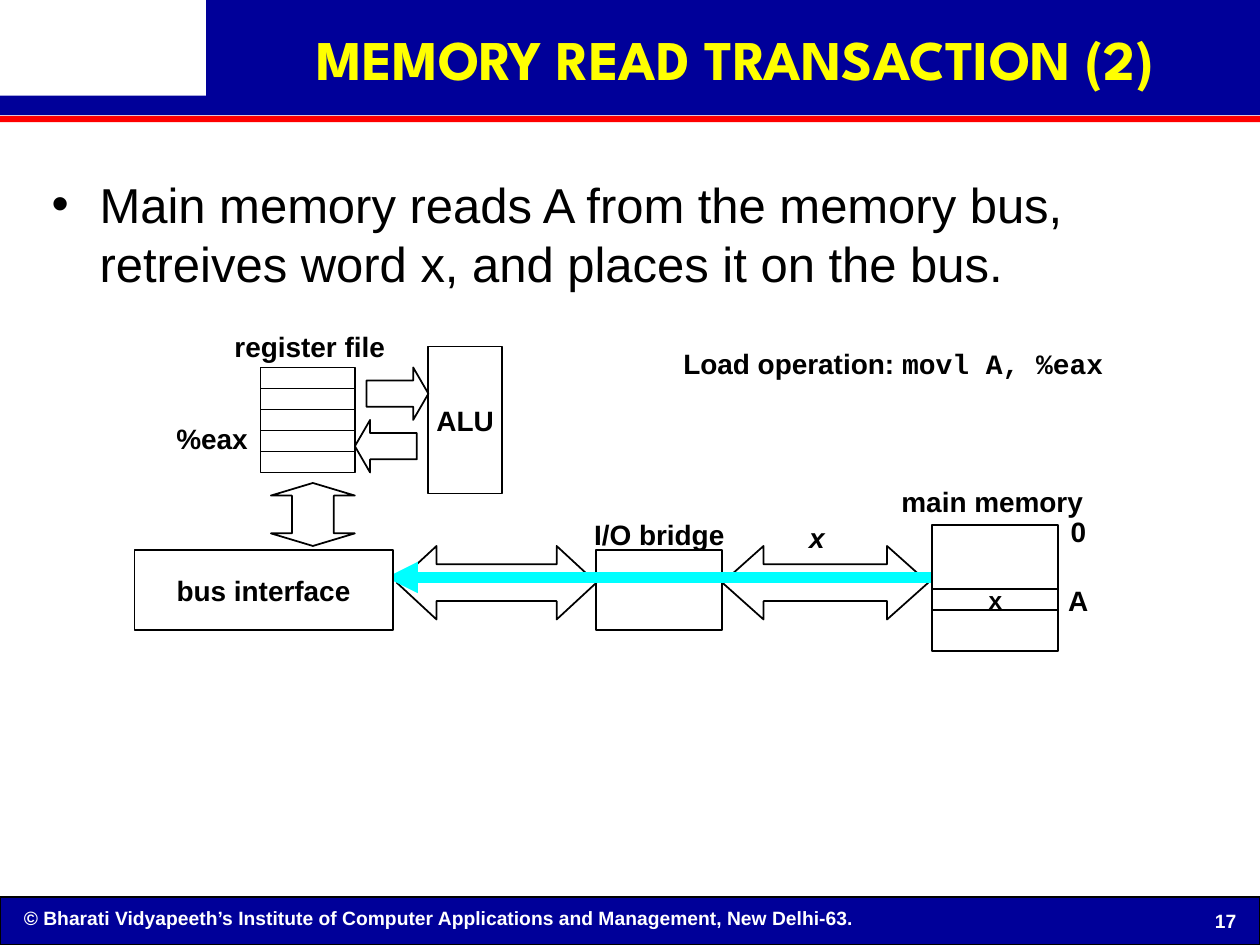
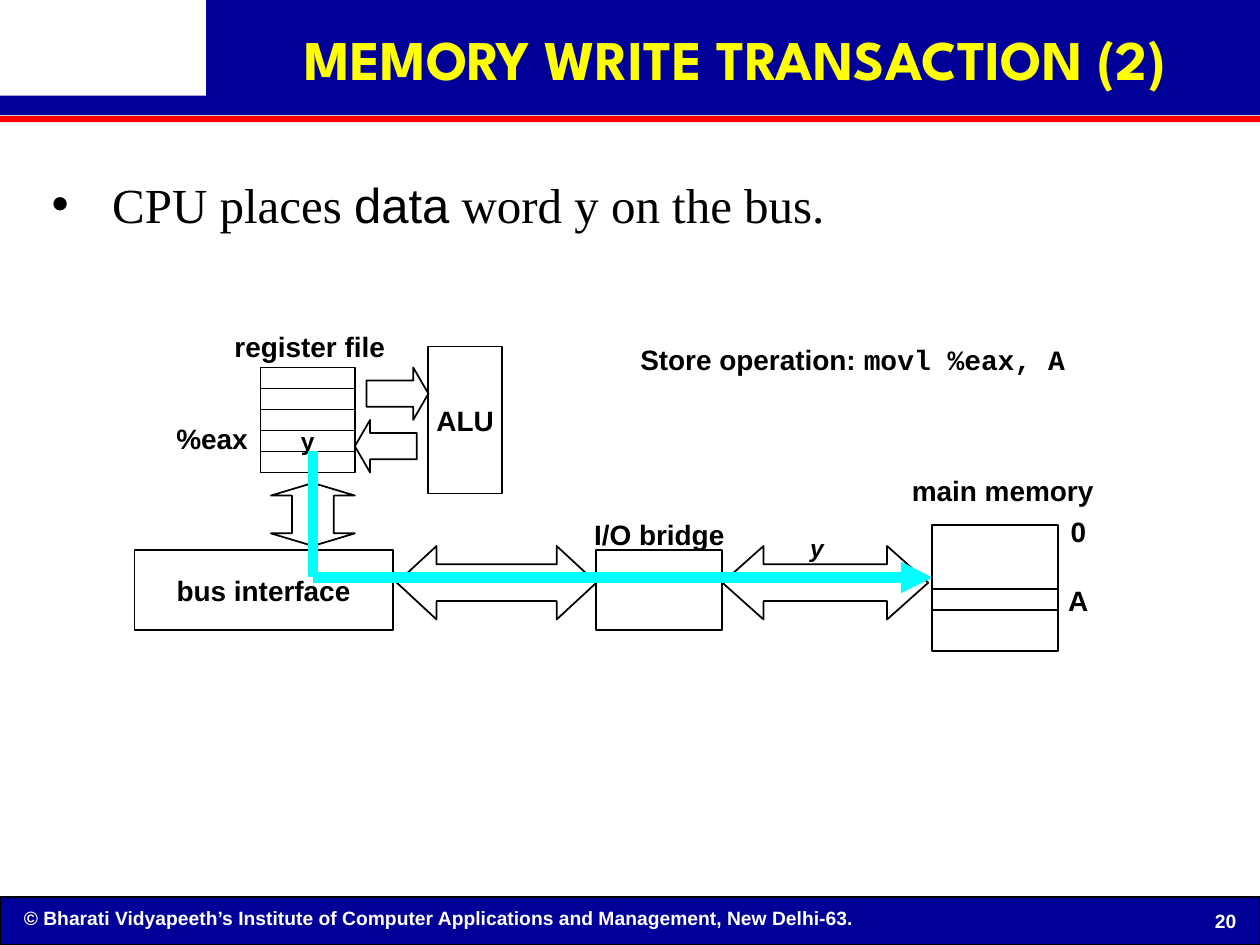
from dataclasses import dataclass

from lxml import etree
from pptx import Presentation
from pptx.dml.color import RGBColor
from pptx.enum.shapes import MSO_CONNECTOR, MSO_SHAPE
from pptx.enum.text import MSO_ANCHOR, PP_ALIGN
from pptx.oxml.ns import qn
from pptx.util import Inches, Pt

RECTANGLE = MSO_SHAPE.RECTANGLE
RIGHT_ARROW = MSO_SHAPE.RIGHT_ARROW
LEFT_ARROW = MSO_SHAPE.LEFT_ARROW
LEFT_RIGHT_ARROW = MSO_SHAPE.LEFT_RIGHT_ARROW
UP_DOWN_ARROW = MSO_SHAPE.UP_DOWN_ARROW
STRAIGHT = MSO_CONNECTOR.STRAIGHT
LEFT, CENTER = PP_ALIGN.LEFT, PP_ALIGN.CENTER
TOP, MIDDLE = MSO_ANCHOR.TOP, MSO_ANCHOR.MIDDLE

# The slide is a grid of 120 columns and 90 rows.
SLIDE_WIDTH, SLIDE_HEIGHT = Inches(10), Inches(7.5)
COLUMNS, ROWS = 120, 90
CELL = SLIDE_WIDTH // COLUMNS
DIAGRAM_LEFT, DIAGRAM_TOP = 12.8, 33
BUS_ROW = 22
REGISTER_COUNT, EAX_REGISTER = 5, 3


@dataclass(frozen=True)
class Theme:
    band: str = "000099"
    rule: str = "FF0000"
    title: str = "FFFF00"
    ink: str = "000000"
    paper: str = "FFFFFF"
    signal: str = "00FFFF"
    sans: str = "Arial"
    serif: str = "Times New Roman"
    code: str = "Courier New"
    display: str = "League Spartan"
    title_size: int = 32
    body_size: int = 28
    label_size: int = 16
    word_size: int = 14
    footer_size: int = 11


THEME = Theme()


def grid(*cells):
    return [round(cell * CELL) for cell in cells]


def on_diagram(left, top):
    return DIAGRAM_LEFT + left, DIAGRAM_TOP + top


def write(shape, content, *, font=THEME.sans, size=THEME.label_size, color=THEME.ink,
          bold=True, italic=False, align=CENTER, anchor=MIDDLE, wrap=False):
    """Fill a shape with one paragraph; content is a string or (text, font) pairs."""
    frame = shape.text_frame
    frame.word_wrap = wrap
    frame.vertical_anchor = anchor
    paragraph = frame.paragraphs[0]
    paragraph.alignment = align
    runs = [(content, font)] if isinstance(content, str) else content
    for text, run_font in runs:
        run = paragraph.add_run()
        run.text = text
        run.font.name = run_font
        run.font.size = Pt(size)
        run.font.bold = bold
        run.font.italic = italic
        run.font.color.rgb = RGBColor.from_string(color)
    return paragraph


def add_text(slide, cells, content, **text_format):
    return write(slide.shapes.add_textbox(*grid(*cells)), content, **text_format)


def add_shape(slide, kind, cells, *, fill=None, line=None, line_width=1):
    shape = slide.shapes.add_shape(kind, *grid(*cells))
    shape.shadow.inherit = False
    if fill:
        shape.fill.solid()
        shape.fill.fore_color.rgb = RGBColor.from_string(fill)
    else:
        shape.fill.background()
    if line:
        shape.line.color.rgb = RGBColor.from_string(line)
        shape.line.width = Pt(line_width)
    else:
        shape.line.fill.background()
    return shape


def add_part(slide, left, top, width, height, *, kind=RECTANGLE, fill=None):
    """Add an outlined part of the diagram."""
    cells = (*on_diagram(left, top), width, height)
    return add_shape(slide, kind, cells, fill=fill, line=THEME.ink)


def add_arrow(slide, kind, left, top, width, height, head):
    """Add a block arrow; its last adjustment is the length of the head."""
    arrow = add_part(slide, left, top, width, height, kind=kind)
    arrow.adjustments[len(arrow.adjustments) - 1] = head


def add_label(slide, center, middle, text, **text_format):
    width, height = 24, 4.4
    left, top = on_diagram(center - width / 2, middle - height / 2)
    add_text(slide, (left, top, width, height), text, **text_format)


def add_signal(slide, *points):
    """Draw a thick line through the points, with an arrowhead at the last one."""
    for start, end in zip(points, points[1:]):
        ends = grid(*on_diagram(*start), *on_diagram(*end))
        connector = slide.shapes.add_connector(STRAIGHT, *ends)
        connector.line.color.rgb = RGBColor.from_string(THEME.signal)
        connector.line.width = Pt(6)
        properties = connector._element.spPr
        etree.SubElement(properties, qn("a:effectLst"))
    arrowhead = etree.SubElement(properties.find(qn("a:ln")), qn("a:tailEnd"))
    arrowhead.set("type", "triangle")


def add_bullet(slide, content, indent):
    paragraph = add_text(slide, (3.75, 16, 109, 68), content, size=THEME.body_size,
                         bold=False, align=LEFT, anchor=TOP, wrap=True)
    properties = paragraph._p.get_or_add_pPr()
    properties.set("marL", str(Inches(indent)))
    properties.set("indent", str(-Inches(indent)))
    etree.SubElement(properties, qn("a:buFont")).set("typeface", THEME.sans)
    etree.SubElement(properties, qn("a:buChar")).set("char", "•")


def add_page(presentation, title, number):
    """Add a slide with the shared bands, title and footer."""
    slide = presentation.slides.add_slide(presentation.slide_layouts[6])
    footer_top = 85.44
    add_shape(slide, RECTANGLE, (0, footer_top, COLUMNS, ROWS - footer_top),
              fill=THEME.band, line=THEME.ink, line_width=0.75)
    footer = dict(size=THEME.footer_size, color=THEME.paper)
    add_text(slide, (1.08, 85.68, 110, 3.5),
             "© Bharati Vidyapeeth’s Institute of Computer Applications and Management, "
             "New Delhi-63.", align=LEFT, anchor=TOP, **footer)
    add_text(slide, (113.6, 86.28, 6.24, 2.88), str(number), **footer)
    for cells, color in (((0, 11.04, COLUMNS, 0.6), THEME.rule),
                         ((19.64, 0, COLUMNS - 19.64, 10), THEME.band),
                         ((0, 9.12, COLUMNS, 1.85), THEME.band)):
        add_shape(slide, RECTANGLE, cells, fill=color)
    add_text(slide, (20.28, 0.12, 99.6, 10.8), title, font=THEME.display,
             size=THEME.title_size, color=THEME.title, wrap=True)
    return slide


def add_processor(slide, register_word):
    for index in range(REGISTER_COUNT):
        register = add_part(slide, 12, 2 + 2 * index, 9, 2)
        if index == EAX_REGISTER and register_word:
            write(register, register_word, size=THEME.word_size)
    add_arrow(slide, RIGHT_ARROW, 22.1, 2, 5.9, 5, 0.29)
    add_arrow(slide, LEFT_ARROW, 21, 7, 5.9, 5, 0.29)
    write(add_part(slide, 28, 0, 7, 14), "ALU")
    add_arrow(slide, UP_DOWN_ARROW, 13, 13, 8, 6, 0.2)
    write(add_part(slide, 0, 19.4, 24.6, 7.6, fill=THEME.paper), "bus interface")
    add_label(slide, 16.7, 0, "register file")
    add_label(slide, 7.4, 8.7, "%eax")


def add_buses(slide):
    add_arrow(slide, LEFT_RIGHT_ARROW, 25, 19, 19, 7, 0.54)
    add_part(slide, 44, 19.4, 12, 7.6)
    add_arrow(slide, LEFT_RIGHT_ARROW, 56, 19, 19.6, 7, 0.56)
    add_label(slide, 50, 17.9, "I/O bridge")


def add_memory(slide, memory_word, label_center, label_middle):
    add_part(slide, 76, 17, 12, 12)
    word_row = add_part(slide, 76, 23.1, 12, 2)
    if memory_word:
        write(word_row, memory_word, size=THEME.word_size)
    add_label(slide, label_center, label_middle, "main memory")
    add_label(slide, 89.9, 17.6, "0")
    add_label(slide, 89.9, 24.2, "A")


def add_operation(slide, left, top, name, instruction):
    cells = (*on_diagram(left, top), 46, 4.4)
    add_text(slide, cells, [(name + " operation: ", THEME.sans), (instruction, THEME.code)],
             align=LEFT, anchor=TOP, wrap=True)


def add_read_slide(presentation):
    slide = add_page(presentation, "MEMORY READ TRANSACTION (2)", 17)
    add_bullet(slide, "Main memory reads A from the memory bus, retreives word x, "
                      "and places it on the bus.", 0.38)
    add_buses(slide)
    # The bus interface, drawn later, covers the tip of this arrow.
    add_signal(slide, (76, BUS_ROW), (24, BUS_ROW))
    add_processor(slide, None)
    add_memory(slide, "x", 81.7, 14.7)
    add_label(slide, 65, 18.2, "x", italic=True)
    add_operation(slide, 51.1, -0.6, "Load", "movl A, %eax")


def add_write_slide(presentation):
    slide = add_page(presentation, "MEMORY WRITE TRANSACTION (2)", 20)
    add_bullet(slide, [("CPU places ", THEME.serif), ("data", THEME.sans),
                       (" word y on the bus.", THEME.serif)], 0.48)
    add_processor(slide, "y")
    add_buses(slide)
    add_label(slide, 65, 19.2, "y", size=THEME.word_size, italic=True)
    add_signal(slide, (17, 10), (17, BUS_ROW), (76, BUS_ROW))
    add_memory(slide, None, 82.7, 13.7)
    add_operation(slide, 47, -1, "Store", "movl %eax, A")


def main():
    presentation = Presentation()
    presentation.slide_width = SLIDE_WIDTH
    presentation.slide_height = SLIDE_HEIGHT
    add_read_slide(presentation)
    add_write_slide(presentation)
    presentation.save("out.pptx")


if __name__ == "__main__":
    main()
